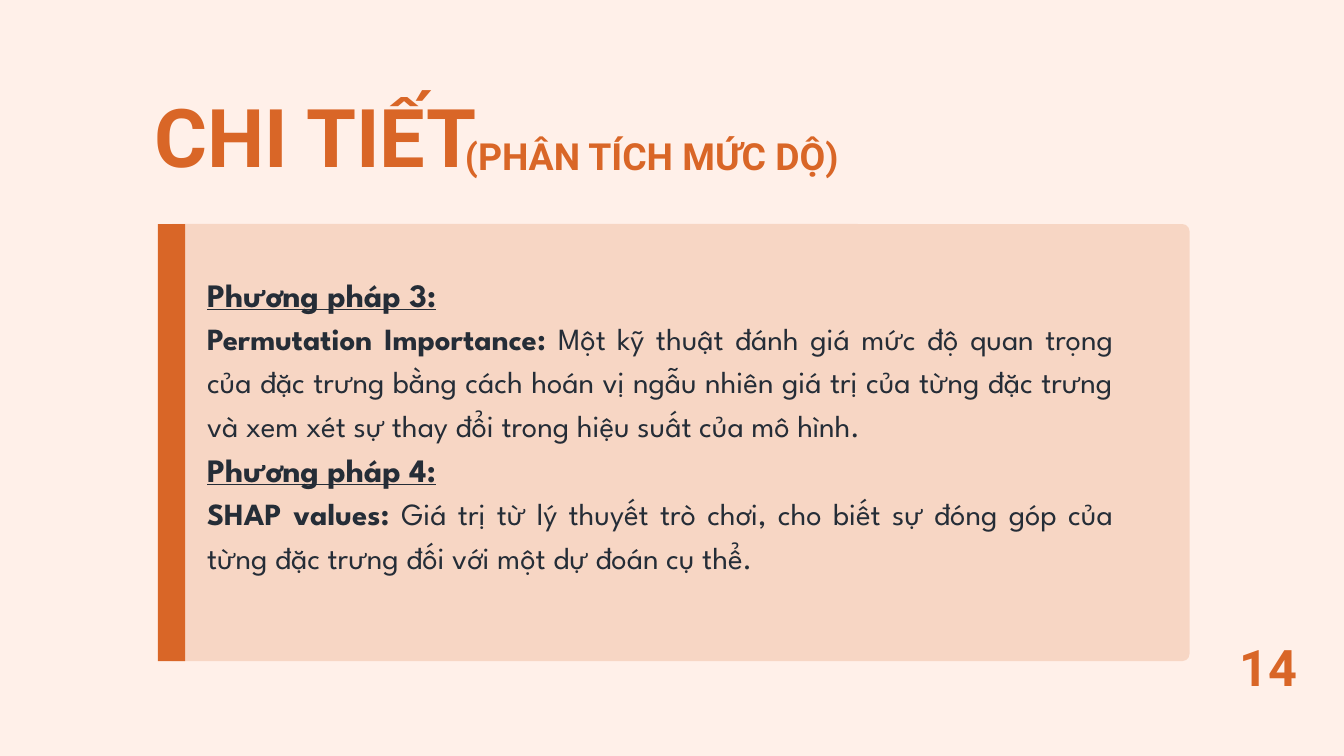
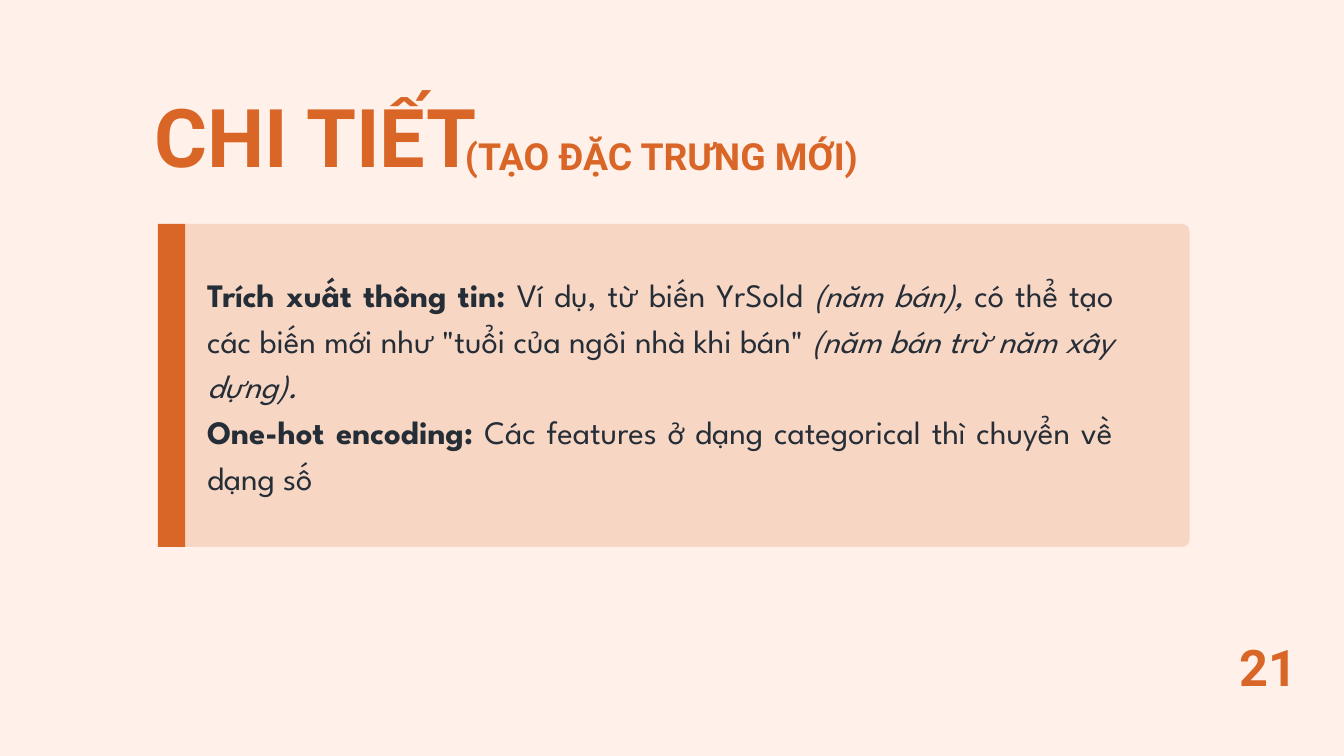
"""Build two detail slides that share one card layout."""
from lxml.etree import SubElement
from pptx import Presentation
from pptx.dml.color import RGBColor
from pptx.enum.shapes import MSO_SHAPE as Shape
from pptx.enum.text import MSO_ANCHOR as Anchor, MSO_AUTO_SIZE as Fit, PP_ALIGN as Align
from pptx.oxml.ns import qn
from pptx.util import Pt


def paint(part, code):
    part.rgb = RGBColor.from_string(code)


def write(frame, paras, font="Roboto", color="D96627", align=Align.LEFT, lead=0.8):
    frame.word_wrap = True
    frame.auto_size = Fit.NONE
    frame.vertical_anchor = Anchor.TOP
    frame.margin_left = frame.margin_right = frame.margin_top = frame.margin_bottom = 0
    for num, (size, runs) in enumerate(paras):
        para = frame.add_paragraph() if num else frame.paragraphs[0]
        para.alignment = align
        para.line_spacing = Pt(round(size * lead, 1))
        para.space_before = para.space_after = Pt(0)
        props = para._p.get_or_add_pPr()
        props.set("marL", "0")
        props.set("indent", "0")
        SubElement(props, qn("a:buNone"))
        for text, marks in runs:
            run = para.add_run()
            run.text = text
            face = run.font
            face.name, face.size = font, Pt(size)
            face.bold, face.italic, face.underline = (mark in marks for mark in "biu")
            paint(face.color, color)


class Deck:
    def __init__(self):
        self.file = Presentation()
        self.file.slide_width, self.file.slide_height = Pt(1440), Pt(810)
        self.accent, self.ink, self.back = "D96627", "252D37", "FFF0E9"
        self.slide = None

    def start(self):
        self.slide = self.file.slides.add_slide(self.file.slide_layouts[1])
        fill = self.slide.background.fill
        fill.solid()
        paint(fill.fore_color, self.back)

    def place(self, item, left, top, width, height):
        item.left, item.top = Pt(left), Pt(top)
        item.width, item.height = Pt(width), Pt(height)

    def title(self, text):
        head = self.slide.shapes.title
        self.place(head, 165.6, 127.4, 367, 78.5)
        write(head.text_frame, [(86.8, [(text, "b")])], color=self.accent)

    def label(self, text, size, left, top, width, height, align=Align.LEFT):
        box = self.slide.shapes.add_textbox(Pt(left), Pt(top), Pt(width), Pt(height))
        write(box.text_frame, [(size, [(text, "b")])], color=self.accent, align=align)

    def block(self, kind, left, top, width, height, alpha=100):
        item = self.slide.shapes.add_shape(kind, Pt(left), Pt(top), Pt(width), Pt(height))
        item.shadow.inherit = False
        item.line.fill.background()
        item.fill.solid()
        paint(item.fill.fore_color, self.accent)
        if alpha < 100:
            tint = item.fill._xPr.find(".//" + qn("a:srgbClr"))
            SubElement(tint, qn("a:alpha"), val=str(alpha * 1000))
        return item

    def card(self, height):
        panel = self.block(Shape.ROUNDED_RECTANGLE, 177, 240, 1097.5, height, alpha=19)
        panel.adjustments[0] = 7.7 / height
        self.block(Shape.RECTANGLE, 169.2, 240, 29.3, height)

    def body(self, paras, height):
        text = self.slide.placeholders[1]
        self.place(text, 221.8, 287.3, 971.3, height)
        write(text.text_frame, paras, font="League Spartan", color=self.ink,
              align=Align.JUSTIFY, lead=1.4)
        text.element.getparent().append(text.element)

    def detail(self, topic, page, height, paras):
        self.start()
        self.title("CHI TIẾT")
        self.card(height)
        self.body(paras, height - 144)
        self.label(page, 54, 1316.9, 703.4, 83.5, 49.7, Align.CENTER)
        self.label(topic, 40, 498.2, 158.4, 504, 36)


def main():
    deck = Deck()
    deck.detail("(PHÂN TÍCH MỨC DỘ)", "14", 468.3, [
        (35, [("Phương pháp 3:", "bu")]),
        (33, [("Permutation Importance: ", "b"),
              ("Một kỹ thuật đánh giá mức độ quan trọng của đặc trưng bằng cách hoán vị "
               "ngẫu nhiên giá trị của từng đặc trưng và xem xét sự thay đổi trong "
               "hiệu suất của mô hình.", "")]),
        (35, [("Phương pháp 4:", "bu")]),
        (33, [("SHAP values: ", "b"),
              ("Giá trị từ lý thuyết trò chơi, cho biết sự đóng góp của từng đặc trưng "
               "đối với một dự đoán cụ thể.", "")]),
    ])
    deck.detail("(TẠO ĐẶC TRƯNG MỚI)", "21", 346, [
        (35, [("Trích xuất thông tin:", "b"), (" Ví dụ, từ biến YrSold ", ""),
              ("(năm bán), ", "i"),
              ('có thể tạo các biến mới như "tuổi của ngôi nhà khi bán" ', ""),
              ("(năm bán trừ năm xây dựng).", "i")]),
        (35, [("One-hot encoding:", "b"),
              (" Các features ở dạng categorical thì chuyển về dạng số", "")]),
    ])
    deck.file.save("out.pptx")


if __name__ == "__main__":
    main()
